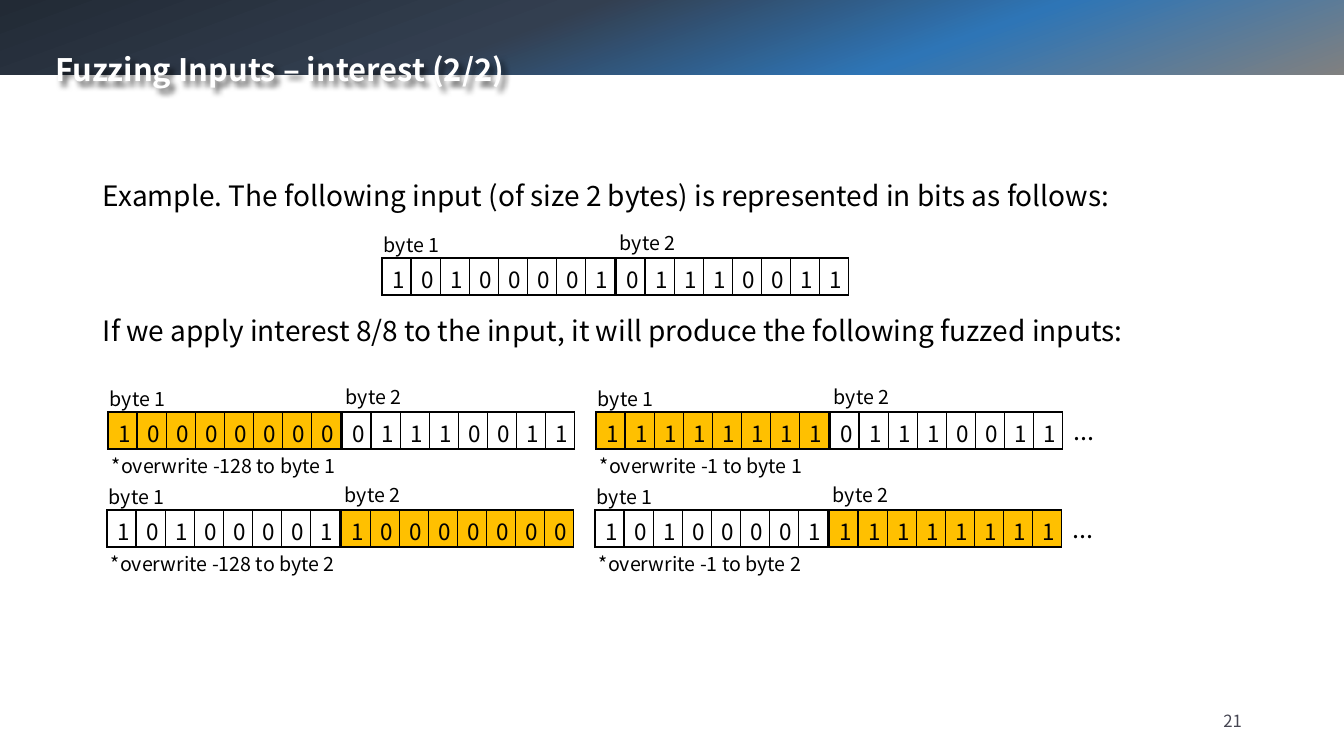
import lxml.etree
import pptx
import pptx.dml.color
import pptx.enum.shapes
import pptx.enum.text
import pptx.oxml
import pptx.oxml.ns
import pptx.util

EMU_PER_PX = 914400 / 100.8
FONT = "Noto Sans CJK KR"
BLACK = pptx.dml.color.RGBColor(0x00, 0x00, 0x00)
WHITE = pptx.dml.color.RGBColor(0xFF, 0xFF, 0xFF)
AMBER = pptx.dml.color.RGBColor(0xFF, 0xC0, 0x00)
SLATE = pptx.dml.color.RGBColor(0x46, 0x46, 0x53)
BAND_STOPS = [(0, "222A35"), (39, "333F50"), (69, "2E75B6"), (100, "808080")]
NS = pptx.oxml.ns.nsdecls("a")

BYTE_WIDTH, BYTE_HEIGHT, BYTE_PITCH = 233, 37, 234
FIRST_BYTE, SECOND_BYTE = "10100001", "01110011"
MIN_BYTE, ONES_BYTE = "10000000", "11111111"

# left, top, byte 1, byte 2, overwritten byte, caption, trailing dots
STRIPS = [
    (382, 258, FIRST_BYTE, SECOND_BYTE, None, None, False),
    (108, 412, MIN_BYTE, SECOND_BYTE, 1, "*overwrite -128 to byte 1", False),
    (596, 412, ONES_BYTE, SECOND_BYTE, 1, "*overwrite -1 to byte 1", True),
    (107, 510, FIRST_BYTE, MIN_BYTE, 2, "*overwrite -128 to byte 2", False),
    (595, 510, FIRST_BYTE, ONES_BYTE, 2, "*overwrite -1 to byte 2", True),
]


def px(length):
    return pptx.util.Emu(round(length * EMU_PER_PX))


def box_emu(box):
    return [px(length) for length in box]


def style(paragraph, size, color=BLACK, bold=False):
    font = paragraph.font
    font.name, font.size, font.bold = FONT, pptx.util.Pt(size), bold
    font.color.rgb = color


def add_text(slide, box, lines, size, color=BLACK, wrap=False):
    frame = slide.shapes.add_textbox(*box_emu(box)).text_frame
    frame.word_wrap = wrap
    frame.text = "\n".join(lines)
    for paragraph in frame.paragraphs:
        style(paragraph, size, color)
    return frame


def add_band(slide, box):
    """Gradient strip behind the title."""
    band = slide.shapes.add_shape(
        pptx.enum.shapes.MSO_SHAPE.RECTANGLE, *box_emu(box))
    band.shadow.inherit = False
    band.line.fill.background()
    band.fill.gradient()
    gradient = band._element.spPr.find(pptx.oxml.ns.qn("a:gradFill"))
    stops = "".join(
        f'<a:gs pos="{position * 1000}"><a:srgbClr val="{color}"/></a:gs>'
        for position, color in BAND_STOPS)
    gradient.getparent().replace(gradient, pptx.oxml.parse_xml(
        f'<a:gradFill {NS} rotWithShape="1"><a:gsLst>{stops}</a:gsLst>'
        '<a:lin ang="4200000" scaled="0"/></a:gradFill>'))
    slide.shapes._spTree.insert(2, band._element)


def set_title(slide, box, text):
    title = slide.shapes.title
    title.left, title.top, title.width, title.height = box_emu(box)
    frame = title.text_frame
    frame.text = text
    frame.auto_size = pptx.enum.text.MSO_AUTO_SIZE.NONE
    frame.vertical_anchor = pptx.enum.text.MSO_ANCHOR.MIDDLE
    heading = frame.paragraphs[0]
    heading.alignment = pptx.enum.text.PP_ALIGN.LEFT
    heading.line_spacing = 0.9
    style(heading, 38, WHITE, bold=True)
    heading.runs[0].font._element.set("baseline", "-25000")
    title._element.spPr.append(pptx.oxml.parse_xml(
        f'<a:effectLst {NS}><a:outerShdw blurRad="50800" dist="50800" '
        'dir="2700000" algn="tl" rotWithShape="0"><a:srgbClr val="000000">'
        '<a:alpha val="60000"/></a:srgbClr></a:outerShdw></a:effectLst>'))


def add_cell_borders(cell):
    properties = cell._tc.get_or_add_tcPr()
    for index, side in enumerate(("lnL", "lnR", "lnT", "lnB")):
        properties.insert(index, pptx.oxml.parse_xml(
            f'<a:{side} {NS} w="12700"><a:solidFill>'
            f'<a:srgbClr val="{BLACK}"/></a:solidFill></a:{side}>'))


def add_byte(slide, left, top, bits, fill):
    """One table row holding the bits of a byte."""
    table = slide.shapes.add_table(
        1, len(bits), *box_emu((left, top, BYTE_WIDTH, BYTE_HEIGHT))).table
    table.first_row = table.horz_banding = False
    for column, bit in enumerate(bits):
        table.columns[column].width = px(BYTE_WIDTH / len(bits))
        cell = table.cell(0, column)
        cell.text = bit
        style(cell.text_frame.paragraphs[0], 16)
        cell.fill.solid()
        cell.fill.fore_color.rgb = fill
        add_cell_borders(cell)


def add_strip(slide, left, top, first, second, overwritten, caption, dots):
    """Two labelled bytes with an optional caption and trailing dots."""
    second_left = left + BYTE_PITCH
    for number, bits, byte_left in ((1, first, left), (2, second, second_left)):
        add_byte(slide, byte_left, top, bits,
                 AMBER if number == overwritten else WHITE)
    add_text(slide, (left - 8, top - 30, 77, 34), ["byte 1"], 14)
    add_text(slide, (second_left - 6, top - 32, 77, 34), ["byte 2"], 14)
    if caption:
        add_text(slide, (left - 6, top + BYTE_HEIGHT, 249, 34), [caption], 14)
    if dots:
        add_text(slide, (second_left + BYTE_PITCH, top - 2, 45, 40), ["..."], 18)


def add_explanation(slide, box):
    frame = add_text(slide, box, [
        "Example. The following input (of size 2 bytes) is represented in bits as follows:",
        "If we apply interest 8/8 to the input, it will produce the following fuzzed inputs:",
    ], 20, wrap=True)
    frame.paragraphs[1].space_before = pptx.util.Pt(72)


def add_page_number(slide, box, number):
    frame = add_text(slide, box, [number], 12, SLATE, wrap=True)
    frame.vertical_anchor = pptx.enum.text.MSO_ANCHOR.MIDDLE
    frame.paragraphs[0].alignment = pptx.enum.text.PP_ALIGN.RIGHT


def main():
    deck = pptx.Presentation()
    deck.slide_width, deck.slide_height = px(1344), px(756)
    slide = deck.slides.add_slide(deck.slide_layouts[5])
    add_band(slide, (0, 0, 1344, 75))
    set_title(slide, (45, 25, 943, 48), "Fuzzing Inputs – interest (2/2)")
    add_explanation(slide, (93, 174, 1156, 179))
    for strip in STRIPS:
        add_strip(slide, *strip)
    add_page_number(slide, (950, 701, 302, 40), "21")
    deck.save("out.pptx")


if __name__ == "__main__":
    main()
